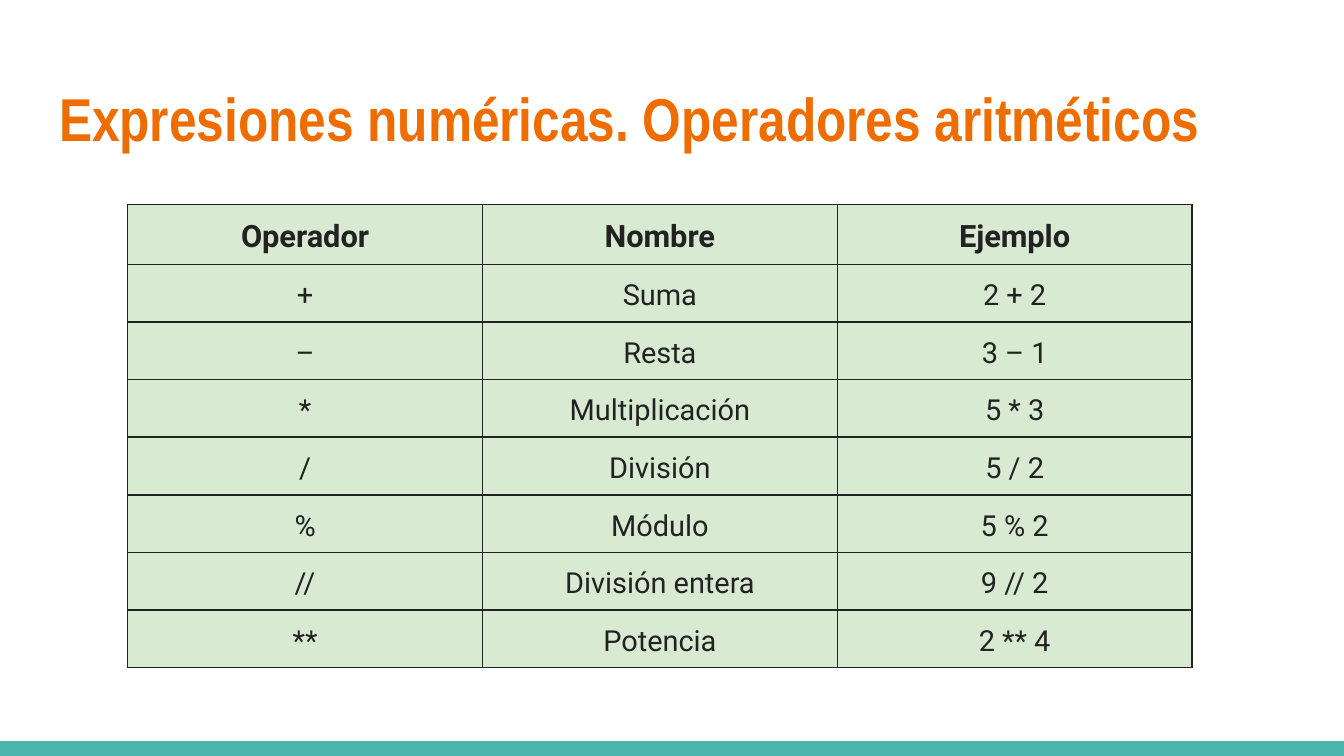
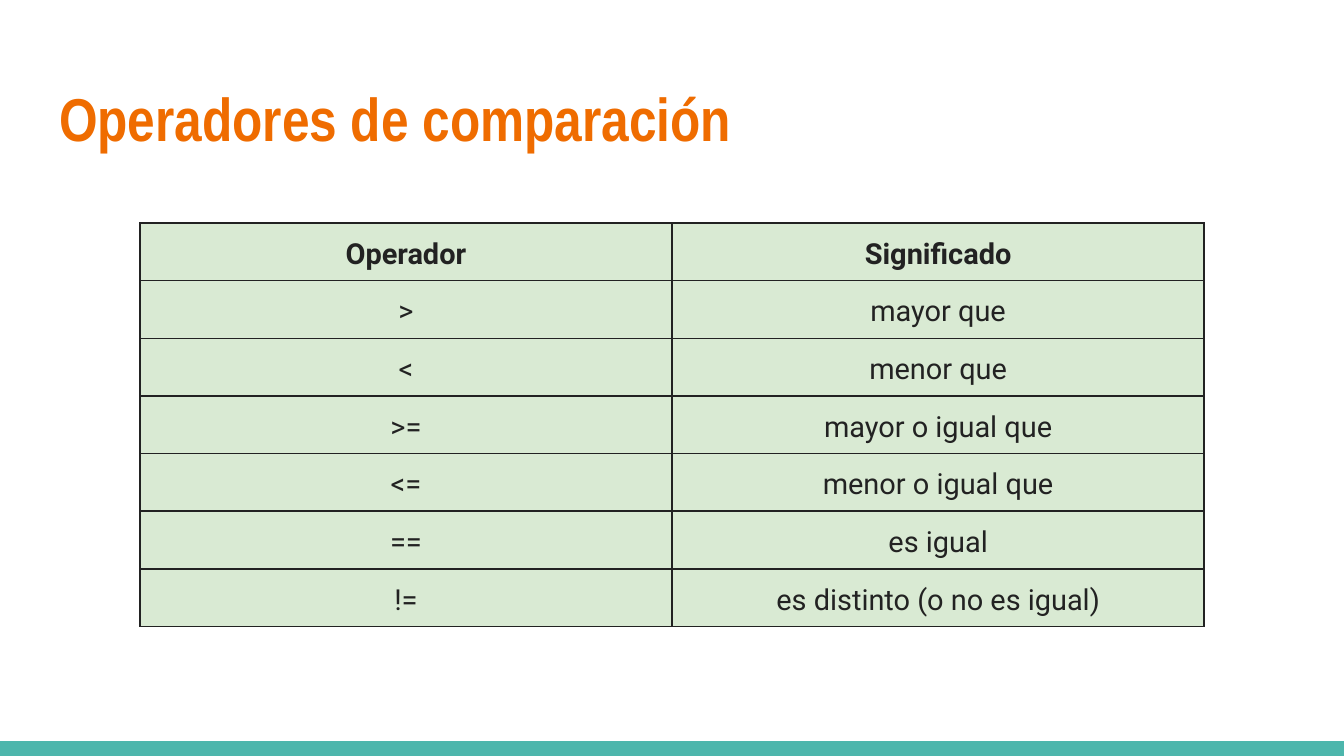
from dataclasses import dataclass

from lxml.etree import SubElement
from pptx import Presentation
from pptx.dml.color import RGBColor
from pptx.enum.shapes import MSO_SHAPE
from pptx.enum.text import MSO_ANCHOR, MSO_AUTO_SIZE, PP_ALIGN
from pptx.oxml.ns import qn
from pptx.presentation import Presentation as PresentationType
from pptx.slide import Slide
from pptx.table import _Cell as Cell
from pptx.text.text import _Paragraph as Paragraph
from pptx.util import Inches, Length, Pt


@dataclass(frozen=True)
class Theme:
    title_color: str = "EF6C00"
    text_color: str = "222222"
    band_color: str = "4DB6AC"
    cell_color: str = "D9EAD3"
    title_font: str = "Arial Narrow"
    body_font: str = "Roboto"
    title_size: float = 32.4
    body_size: float = 15.5
    large_header_size: float = 16.5
    border_width: float = 0.94


@dataclass(frozen=True)
class OperatorSlide:
    title: str
    left: Length
    top: Length
    rows: list[tuple[str, ...]]
    header_size: float
    anchor: MSO_ANCHOR


THEME = Theme()
SLIDE_WIDTH = Inches(10)
SLIDE_HEIGHT = SLIDE_WIDTH * 9 // 16
BAND_HEIGHT = Inches(0.11)
TITLE_INSET = Inches(0.1)
TABLE_WIDTH = Inches(7.92)
ROW_HEIGHT = Inches(0.42)
CELL_INSET = Inches(0.07)
TITLE_ONLY_LAYOUT = 5

SLIDES = [
    OperatorSlide(
        title="Expresiones numéricas. Operadores aritméticos",
        left=Inches(0.95),
        top=Inches(1.52),
        rows=[
            ("Operador", "Nombre", "Ejemplo"),
            ("+", "Suma", "2 + 2"),
            ("–", "Resta", "3 – 1"),
            ("*", "Multiplicación", "5 * 3"),
            ("/", "División", "5 / 2"),
            ("%", "Módulo", "5 % 2"),
            ("//", "División entera", "9 // 2"),
            ("**", "Potencia", "2 ** 4"),
        ],
        header_size=THEME.large_header_size,
        anchor=MSO_ANCHOR.MIDDLE,
    ),
    OperatorSlide(
        title="Operadores de comparación",
        left=Inches(1.04),
        top=Inches(1.66),
        rows=[
            ("Operador", "Significado"),
            (">", "mayor que"),
            ("<", "menor que"),
            (">=", "mayor o igual que"),
            ("<=", "menor o igual que"),
            ("==", "es igual"),
            ("!=", "es distinto (o no es igual)"),
        ],
        header_size=THEME.body_size,
        anchor=MSO_ANCHOR.TOP,
    ),
]


def set_font(paragraph: Paragraph, name: str, size: float, color: str, bold: bool) -> None:
    font = paragraph.font
    font.name = name
    font.size = Pt(size)
    font.bold = bold
    font.color.rgb = RGBColor.from_string(color)


def add_band(slide: Slide) -> None:
    """Draw the coloured strip along the bottom edge."""
    band = slide.shapes.add_shape(
        MSO_SHAPE.RECTANGLE, 0, SLIDE_HEIGHT - BAND_HEIGHT, SLIDE_WIDTH, BAND_HEIGHT
    )
    band.shadow.inherit = False
    band.fill.solid()
    band.fill.fore_color.rgb = RGBColor.from_string(THEME.band_color)
    band.line.fill.background()


def set_title(slide: Slide, text: str) -> None:
    title = slide.shapes.title
    title.left, title.top = Inches(0.34), Inches(0.49)
    title.width, title.height = Inches(9.32), Inches(0.77)
    frame = title.text_frame
    frame.text = text
    frame.word_wrap = True
    frame.auto_size = MSO_AUTO_SIZE.NONE
    frame.vertical_anchor = MSO_ANCHOR.MIDDLE
    frame.margin_left = frame.margin_right = TITLE_INSET
    frame.margin_top = frame.margin_bottom = TITLE_INSET
    paragraph = frame.paragraphs[0]
    paragraph.alignment = PP_ALIGN.LEFT
    set_font(paragraph, THEME.title_font, THEME.title_size, THEME.title_color, bold=True)


def add_borders(cell: Cell) -> None:
    properties = cell._tc.get_or_add_tcPr()
    for side in ("a:lnL", "a:lnR", "a:lnT", "a:lnB"):
        line = SubElement(properties, qn(side), w=str(Pt(THEME.border_width)))
        fill = SubElement(line, qn("a:solidFill"))
        SubElement(fill, qn("a:srgbClr"), val=THEME.text_color)


def format_cell(cell: Cell, text: str, size: float, bold: bool, anchor: MSO_ANCHOR) -> None:
    cell.text = text
    cell.vertical_anchor = anchor
    cell.margin_left = cell.margin_right = CELL_INSET
    cell.margin_top = cell.margin_bottom = CELL_INSET
    add_borders(cell)  # borders must precede the fill in the cell's XML
    cell.fill.solid()
    cell.fill.fore_color.rgb = RGBColor.from_string(THEME.cell_color)
    paragraph = cell.text_frame.paragraphs[0]
    paragraph.alignment = PP_ALIGN.CENTER
    paragraph.line_spacing = 1.15
    set_font(paragraph, THEME.body_font, size, THEME.text_color, bold)


def add_operator_table(slide: Slide, content: OperatorSlide) -> None:
    row_count, column_count = len(content.rows), len(content.rows[0])
    table = slide.shapes.add_table(
        row_count, column_count, content.left, content.top,
        TABLE_WIDTH, ROW_HEIGHT * row_count,
    ).table
    table.first_row = table.horz_banding = False
    for row_index, row in enumerate(content.rows):
        is_header = row_index == 0
        size = content.header_size if is_header else THEME.body_size
        for column_index, text in enumerate(row):
            cell = table.cell(row_index, column_index)
            format_cell(cell, text, size, is_header, content.anchor)


def add_operator_slide(presentation: PresentationType, content: OperatorSlide) -> None:
    slide = presentation.slides.add_slide(presentation.slide_layouts[TITLE_ONLY_LAYOUT])
    add_band(slide)
    set_title(slide, content.title)
    add_operator_table(slide, content)


def main() -> None:
    presentation = Presentation()
    presentation.slide_width = SLIDE_WIDTH
    presentation.slide_height = SLIDE_HEIGHT
    for content in SLIDES:
        add_operator_slide(presentation, content)
    presentation.save("out.pptx")


if __name__ == "__main__":
    main()
